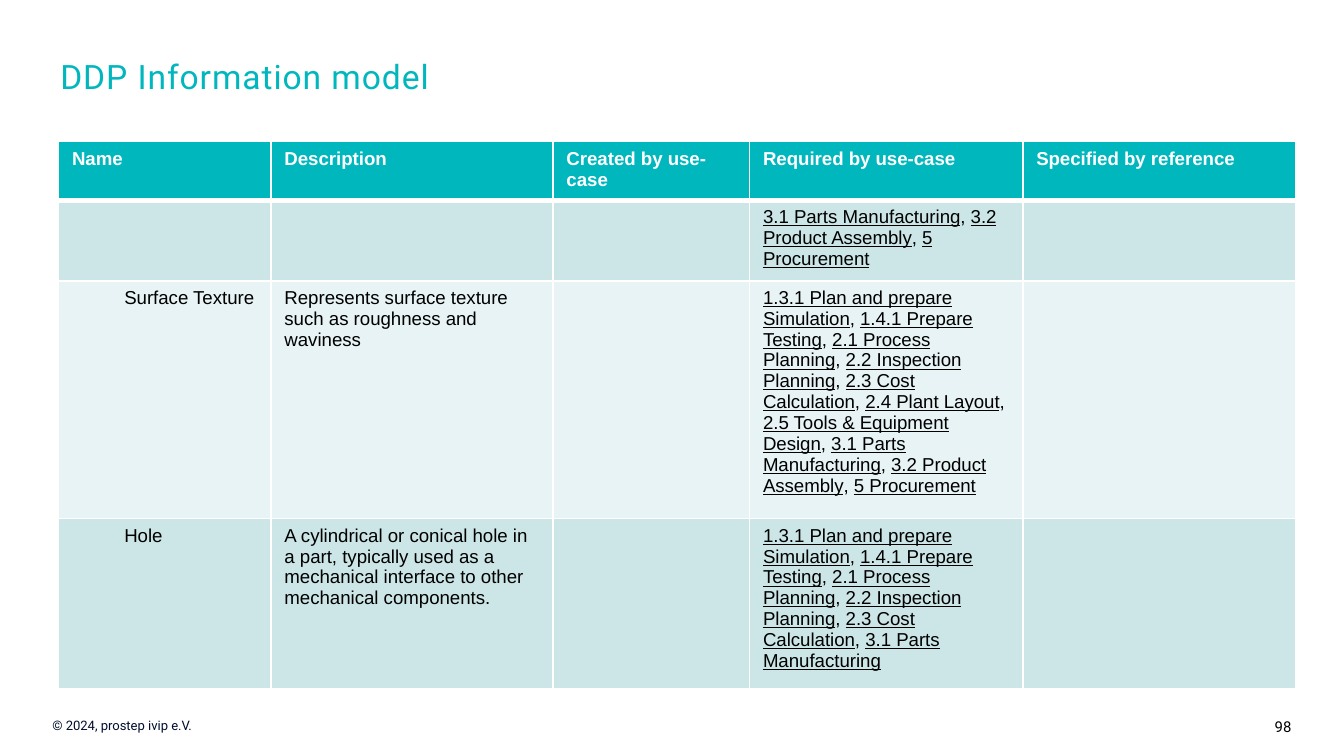
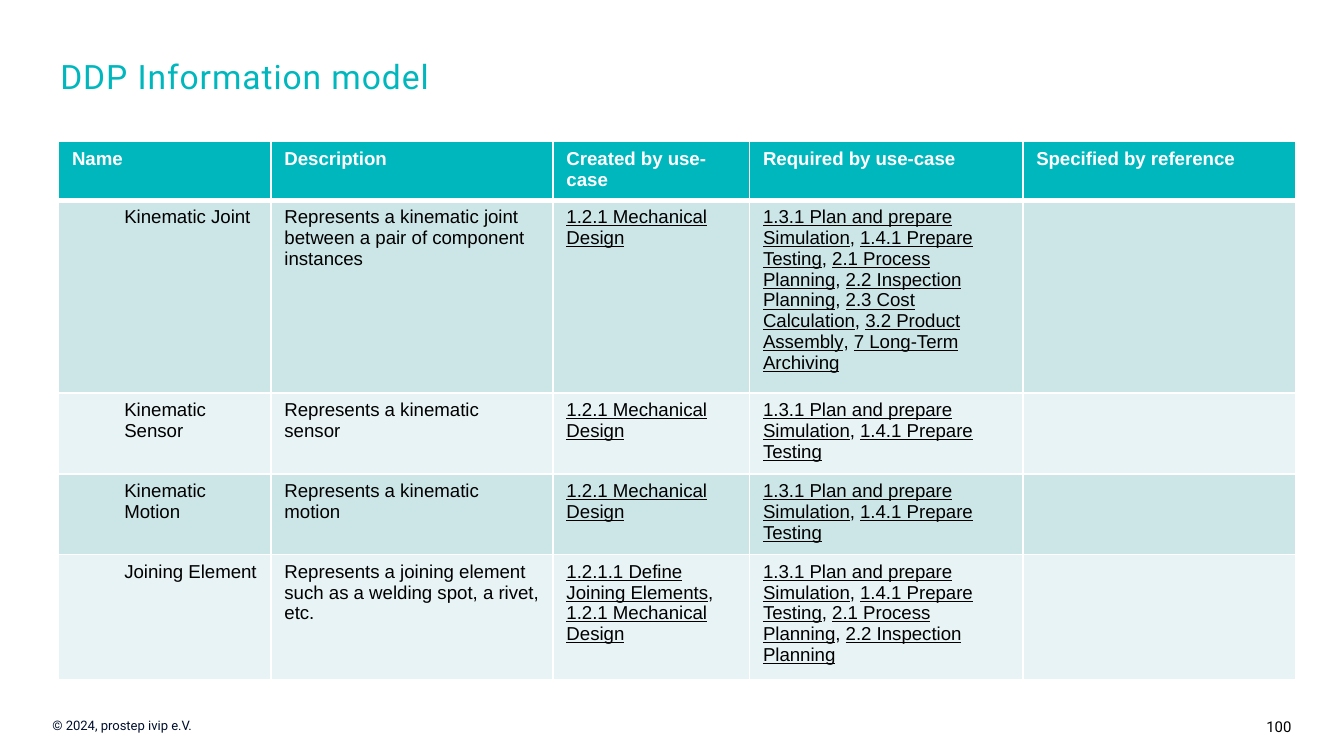
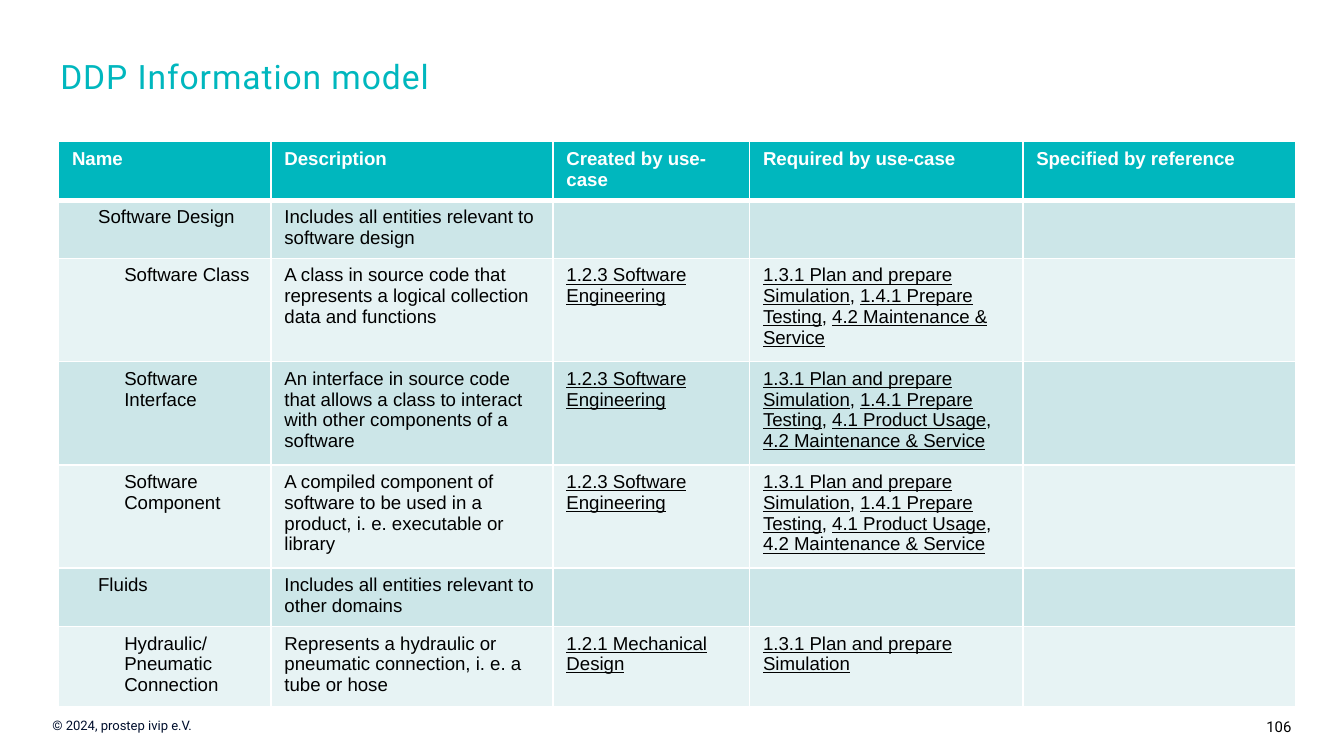
import pptx
import pptx.dml.color
import pptx.enum.text
import pptx.oxml
import pptx.oxml.ns
import pptx.util
from collections import namedtuple

Pt = pptx.util.Pt
RGBColor = pptx.dml.color.RGBColor
PP_ALIGN = pptx.enum.text.PP_ALIGN

TEAL = RGBColor(0x00, 0xB7, 0xBE)
BAND_DARK = RGBColor(0xCC, 0xE6, 0xE8)
BAND_LIGHT = RGBColor(0xE7, 0xF3, 0xF4)
NAVY = RGBColor(0x00, 0x0F, 0x2D)
BLACK = RGBColor(0, 0, 0)
WHITE = RGBColor(0xFF, 0xFF, 0xFF)

Box = namedtuple("Box", "left top width height")
Entity = namedtuple("Entity", "level name description created required lines")

SLIDE_WIDTH, SLIDE_HEIGHT = 720, 405
TITLE_BOX = Box(25.2, 26.6, 539.3, 49)
TABLE_BOX = Box(31.4, 75.9, 663, 74)
FOOTER_BOX = Box(0, 380.9, SLIDE_WIDTH, 17)

HEADINGS = ["Name", "Description", "Created by use-case",
            "Required by use-case", "Specified by reference"]
COLUMN_WIDTHS = [113.8, 151.1, 105.3, 146.4, 146.4]
LINE_HEIGHT = 12
CELL_INSET = 7.2
LEVEL_INDENT = 14
FOOTER_INSET = 28.1

USE_CASES = {
    "1.2.1": "Mechanical Design",
    "1.2.1.1": "Define Joining Elements",
    "1.2.3": "Software Engineering",
    "1.3.1": "Plan and prepare Simulation",
    "1.4.1": "Prepare Testing",
    "2.1": "Process Planning",
    "2.2": "Inspection Planning",
    "2.3": "Cost Calculation",
    "2.4": "Plant Layout",
    "2.5": "Tools & Equipment Design",
    "3.1": "Parts Manufacturing",
    "3.2": "Product Assembly",
    "4.1": "Product Usage",
    "4.2": "Maintenance & Service",
    "5": "Procurement",
    "7": "Long-Term Archiving",
}

# Use-cases are listed by number; the last value is the row's line count.
PAGES = {
    98: [
        Entity(0, "", "", "", "3.1 3.2 5", 3),
        Entity(2, "Surface Texture",
               "Represents surface texture such as roughness and waviness",
               "", "1.3.1 1.4.1 2.1 2.2 2.3 2.4 2.5 3.1 3.2 5", 10),
        Entity(2, "Hole",
               "A cylindrical or conical hole in a part, typically used as a "
               "mechanical interface to other mechanical components.",
               "", "1.3.1 1.4.1 2.1 2.2 2.3 3.1", 7),
    ],
    100: [
        Entity(2, "Kinematic Joint",
               "Represents a kinematic joint between a pair of component instances",
               "1.2.1", "1.3.1 1.4.1 2.1 2.2 2.3 3.2 7", 8),
        Entity(2, "Kinematic Sensor", "Represents a kinematic sensor",
               "1.2.1", "1.3.1 1.4.1", 3),
        Entity(2, "Kinematic Motion", "Represents a kinematic motion",
               "1.2.1", "1.3.1 1.4.1", 3),
        Entity(2, "Joining Element",
               "Represents a joining element such as a welding spot, a rivet, etc.",
               "1.2.1.1 1.2.1", "1.3.1 1.4.1 2.1 2.2", 5),
    ],
    106: [
        Entity(1, "Software Design",
               "Includes all entities relevant to software design", "", "", 2),
        Entity(2, "Software Class",
               "A class in source code that represents a logical collection "
               "data and functions",
               "1.2.3", "1.3.1 1.4.1 4.2", 4),
        Entity(2, "Software Interface",
               "An interface in source code that allows a class to interact "
               "with other components of a software",
               "1.2.3", "1.3.1 1.4.1 4.1 4.2", 4),
        Entity(2, "Software Component",
               "A compiled component of software to be used in a product, "
               "i. e. executable or library",
               "1.2.3", "1.3.1 1.4.1 4.1 4.2", 4),
        Entity(1, "Fluids",
               "Includes all entities relevant to other domains", "", "", 2),
        Entity(2, "Hydraulic/Pneumatic Connection",
               "Represents a hydraulic or pneumatic connection, i. e. a tube or hose",
               "1.2.1", "1.3.1", 3),
    ],
}


def set_font(paragraph, name, size, color, bold=False):
    font = paragraph.font
    font.name, font.size, font.bold = name, Pt(size), bold
    font.color.rgb = color


def add_text(slide, box, text, size, color, align=PP_ALIGN.LEFT, left=7.2, right=7.2):
    """Add a one-line Roboto text box and return its paragraph."""
    frame = slide.shapes.add_textbox(*(Pt(length) for length in box)).text_frame
    frame.word_wrap = True
    frame.margin_left, frame.margin_right = Pt(left), Pt(right)
    paragraph = frame.paragraphs[0]
    paragraph.text = text
    paragraph.alignment = align
    set_font(paragraph, "Roboto", size, color)
    return paragraph


def add_title(slide, box):
    title = add_text(slide, box, "DDP Information model", 18, TEAL)
    title.runs[0]._r.get_or_add_rPr().set("spc", "50")


def add_footer(slide, box, page_number):
    number_width = 65.5
    number_box = box._replace(left=box.left + box.width - number_width, width=number_width)
    add_text(slide, number_box, str(page_number), 8, BLACK,
             align=PP_ALIGN.RIGHT, right=FOOTER_INSET)
    add_text(slide, box._replace(width=172.8), "© 2024, prostep ivip e.V.", 7, NAVY,
             left=FOOTER_INSET)


def add_borders(cell, sides):
    """Draw white borders; sides maps L, R, T, B to a width in points."""
    properties = cell._tc.get_or_add_tcPr()
    for side, width in sides.items():
        properties.append(pptx.oxml.parse_xml(
            f'<a:ln{side} {pptx.oxml.ns.nsdecls("a")} w="{Pt(width)}">'
            f'<a:solidFill><a:srgbClr val="{WHITE}"/></a:solidFill></a:ln{side}>'))


def style_cell(cell, fill, color, sides, bold=False):
    add_borders(cell, sides)
    cell.fill.solid()
    cell.fill.fore_color.rgb = fill
    set_font(cell.text_frame.paragraphs[0], "Arial", 10, color, bold)


def write_use_cases(cell, numbers):
    """Write the underlined use-case names, separated by plain commas."""
    paragraph = cell.text_frame.paragraphs[0]
    for index, number in enumerate(numbers.split()):
        if index:
            paragraph.add_run().text = ", "
        use_case = paragraph.add_run()
        use_case.text = f"{number} {USE_CASES[number]}"
        use_case.font.underline = True


def fill_entity_row(cells, entity, band):
    name, description, created, required, _ = cells
    name.text = entity.name
    name.margin_left = Pt(CELL_INSET + LEVEL_INDENT * entity.level)
    description.text = entity.description
    write_use_cases(created, entity.created)
    write_use_cases(required, entity.required)
    for cell in cells:
        style_cell(cell, band, BLACK, {"L": 1, "R": 1, "B": 1})


def add_entity_table(slide, box, entities):
    table = slide.shapes.add_table(len(entities) + 1, len(HEADINGS),
                                   *(Pt(length) for length in box)).table
    for column, width in zip(table.columns, COLUMN_WIDTHS):
        column.width = Pt(width)
    header, *body = table.rows
    header.height = Pt(2 * LINE_HEIGHT)
    for cell, heading in zip(header.cells, HEADINGS):
        cell.text = heading
        style_cell(cell, TEAL, WHITE, {"L": 1, "R": 1, "T": 1, "B": 3}, bold=True)
    for index, (row, entity) in enumerate(zip(body, entities)):
        row.height = Pt(entity.lines * LINE_HEIGHT)
        fill_entity_row(list(row.cells), entity, BAND_LIGHT if index % 2 else BAND_DARK)


def add_model_slide(deck, page_number, entities):
    slide = deck.slides.add_slide(deck.slide_layouts[6])
    add_footer(slide, FOOTER_BOX, page_number)
    add_title(slide, TITLE_BOX)
    add_entity_table(slide, TABLE_BOX, entities)


def main():
    deck = pptx.Presentation()
    deck.slide_width, deck.slide_height = Pt(SLIDE_WIDTH), Pt(SLIDE_HEIGHT)
    for page_number, entities in PAGES.items():
        add_model_slide(deck, page_number, entities)
    deck.save("out.pptx")


if __name__ == "__main__":
    main()
